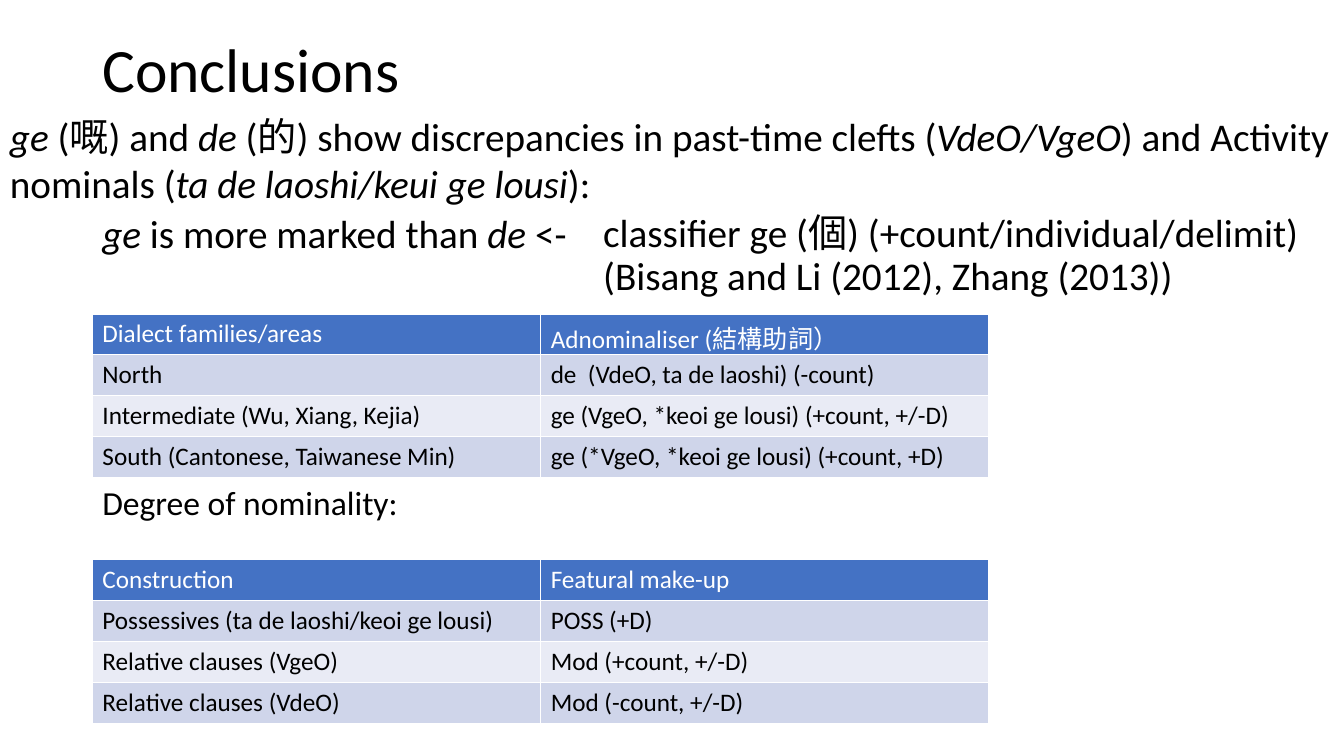
"""Build the Conclusions slide on nominal markers in dialect families."""
from pptx import Presentation
from pptx.dml.color import RGBColor
from pptx.enum.text import MSO_ANCHOR
from pptx.util import Emu, Pt

FONT = "Calibri"
BLACK, WHITE = "000000", "FFFFFF"
HEADER_FILL = "4472C4"
BAND_FILLS = ("CFD5EA", "E9EBF5")
MARGIN = 88
TEXT_WIDTH = 1104
COLUMN_WIDTH, ROW_HEIGHT = 427, 39

DIALECT_ROWS = [
    ("Dialect families/areas", "Adnominaliser (結構助詞）"),
    ("North", "de  (VdeO, ta de laoshi) (-count)"),
    ("Intermediate (Wu, Xiang, Kejia)", "ge (VgeO, *keoi ge lousi) (+count, +/-D)"),
    ("South (Cantonese, Taiwanese Min)", "ge (*VgeO, *keoi ge lousi) (+count, +D)"),
]
CONSTRUCTION_ROWS = [
    ("Construction", "Featural make-up"),
    ("Possessives (ta de laoshi/keoi ge lousi)", "POSS (+D)"),
    ("Relative clauses (VgeO)", "Mod (+count, +/-D)"),
    ("Relative clauses (VdeO)", "Mod (-count, +/-D)"),
]


def px(length):
    """Turn pixels into EMU."""
    return Emu(length * 9525)


def color(value):
    """Turn a hex string into a colour."""
    return RGBColor.from_string(value)


def add_run(paragraph, text, size, fill=BLACK, italic=False):
    """Add one formatted run to a paragraph."""
    run = paragraph.add_run()
    run.text = text
    font = run.font
    font.name, font.size = FONT, Pt(size)
    font.bold, font.italic = False, italic
    font.color.rgb = color(fill)


def add_text(slide, box, runs, size, spacing=1.0, anchor=MSO_ANCHOR.TOP):
    """Add a wrapped text box from (text, italic) runs."""
    shape = slide.shapes.add_textbox(*map(px, box))
    frame = shape.text_frame
    frame.word_wrap = True
    frame.vertical_anchor = anchor
    paragraph = frame.paragraphs[0]
    paragraph.line_spacing = spacing
    for text, italic in runs:
        add_run(paragraph, text, size, italic=italic)


def add_banded_table(slide, top, rows):
    """Add a table with a blue header row and alternating bands."""
    columns = len(rows[0])
    table = slide.shapes.add_table(
        len(rows), columns, px(MARGIN), px(top),
        px(COLUMN_WIDTH * columns), px(ROW_HEIGHT * len(rows))).table
    for row_index, texts in enumerate(rows):
        is_header = row_index == 0
        fill = HEADER_FILL if is_header else BAND_FILLS[(row_index - 1) % 2]
        for column_index, text in enumerate(texts):
            cell = table.cell(row_index, column_index)
            cell.fill.solid()
            cell.fill.fore_color.rgb = color(fill)
            add_run(cell.text_frame.paragraphs[0], text, 18,
                    WHITE if is_header else BLACK)


def main():
    """Compose and save the slide."""
    presentation = Presentation()
    presentation.slide_width, presentation.slide_height = px(1280), px(720)
    slide = presentation.slides.add_slide(presentation.slide_layouts[6])
    add_text(slide, (MARGIN, 0, TEXT_WIDTH, 139), [("Conclusions", False)],
             44, 0.9, MSO_ANCHOR.MIDDLE)
    add_text(slide, (0, 102, 1280, 100), [
        ("ge", True), (" (嘅) and ", False), ("de", True),
        (" (的) show discrepancies in past-time clefts (", False),
        ("VdeO/VgeO", True), (") and Activity nominals (", False),
        ("ta de laoshi/keui ge lousi", True), ("):", False)], 28)
    add_text(slide, (MARGIN, 200, TEXT_WIDTH, 457), [
        ("ge", True), (" is more marked than ", False),
        ("de", True), (" <-", False)], 28, 0.9)
    add_text(slide, (565, 199, 715, 457), [
        ("classifier ge (個) (+count/individual/delimit) "
         "(Bisang and Li (2012), Zhang (2013))", False)], 28, 0.9)
    add_banded_table(slide, 299, DIALECT_ROWS)
    add_text(slide, (MARGIN, 454, TEXT_WIDTH, 48),
             [("Degree of nominality:", False)], 24)
    add_banded_table(slide, 533, CONSTRUCTION_ROWS)
    presentation.save("out.pptx")


if __name__ == "__main__":
    main()
